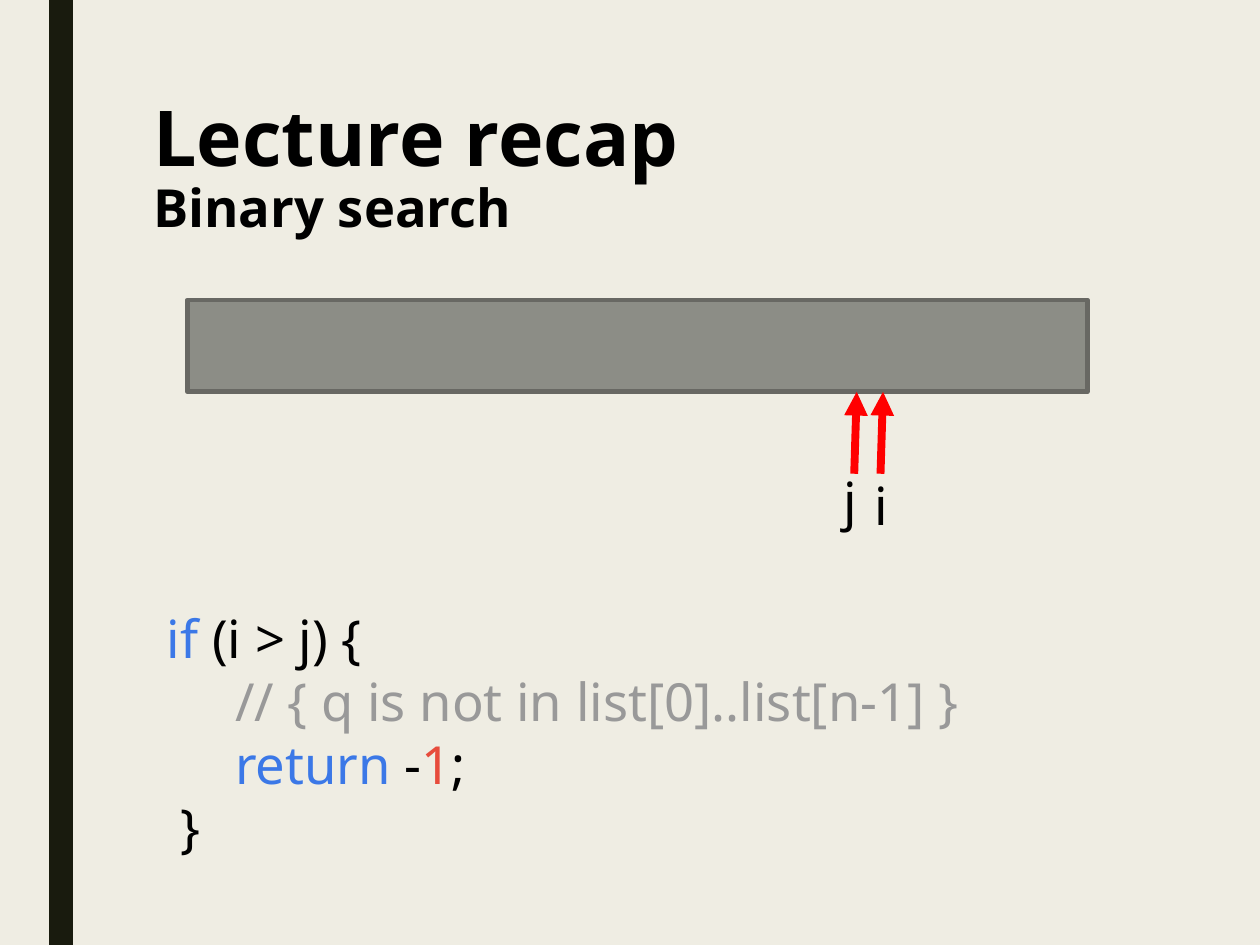
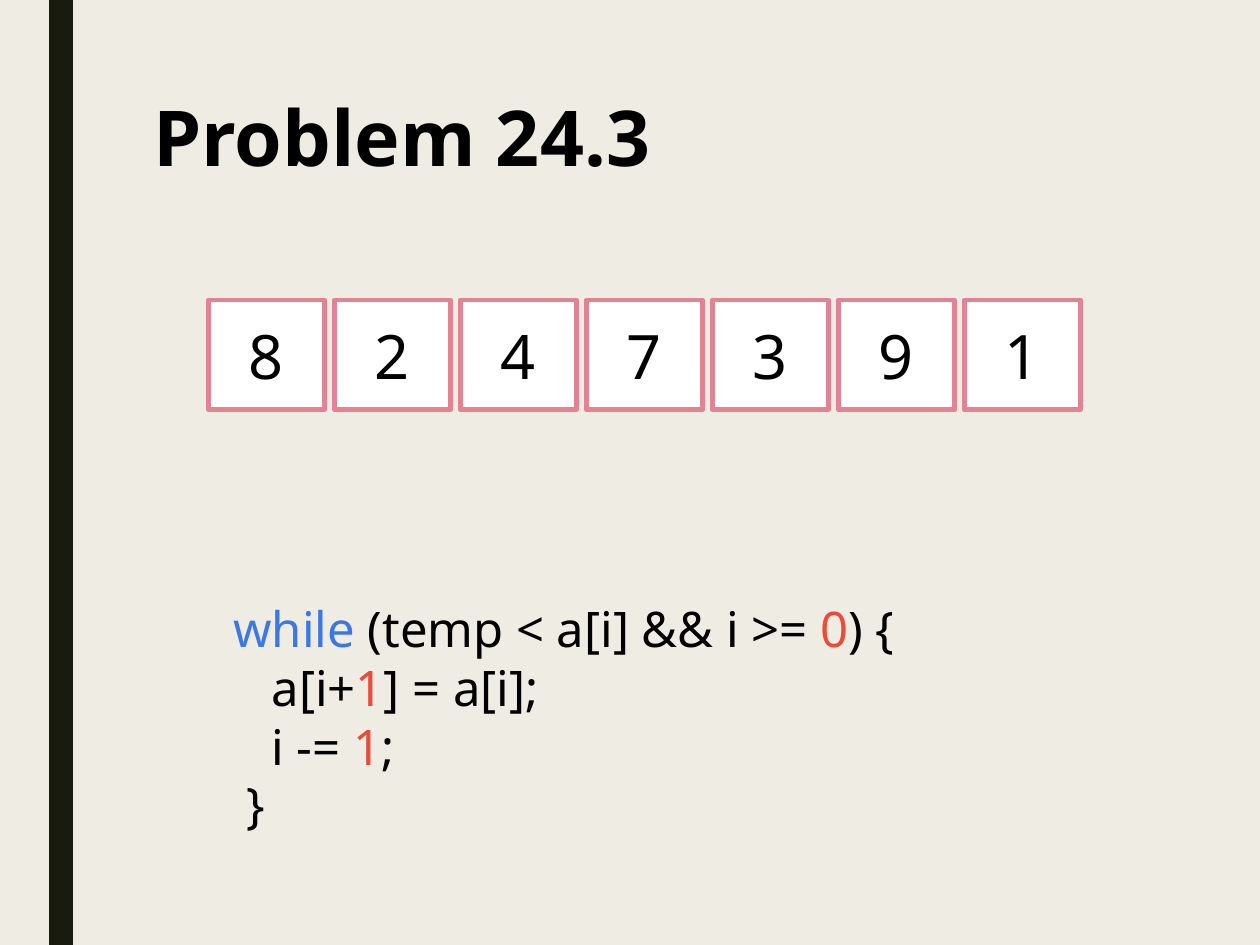
from lxml import etree
from pptx import Presentation
from pptx.dml.color import RGBColor
from pptx.enum.shapes import MSO_CONNECTOR, MSO_SHAPE
from pptx.enum.text import MSO_ANCHOR, PP_ALIGN
from pptx.oxml.ns import qn
from pptx.util import Cm, Pt

BACKGROUND = RGBColor(0xEF, 0xED, 0xE3)
BAND = RGBColor(0x19, 0x1B, 0x0E)
BLACK = RGBColor(0, 0, 0)
WHITE = RGBColor(0xFF, 0xFF, 0xFF)
KEYWORD = RGBColor(0x3B, 0x78, 0xE7)
NUMBER = RGBColor(0xE7, 0x4C, 0x3C)
COMMENT = RGBColor(0x99, 0x99, 0x99)
LIST_FILL = RGBColor(0x8C, 0x8D, 0x86)
LIST_LINE = RGBColor(0x68, 0x68, 0x63)
CELL_LINE = RGBColor(0xE2, 0x83, 0x94)
ARROW = RGBColor(0xFF, 0, 0)
FONT = "Noto Sans"
SPACE_PER_POINT = 0.26 * 2.54 / 72


def add_text(shape, lines, size=30, bold=False, align=PP_ALIGN.LEFT,
             anchor=MSO_ANCHOR.TOP, spacing=1.0):
    frame = shape.text_frame
    frame.word_wrap = True
    frame.vertical_anchor = anchor
    for number, (indent, runs) in enumerate(lines):
        paragraph = frame.add_paragraph() if number else frame.paragraphs[0]
        paragraph.alignment = align
        paragraph.line_spacing = spacing
        margin = Cm(indent * size * SPACE_PER_POINT)
        paragraph._p.get_or_add_pPr().set("marL", str(margin))
        for text, color, *own_size in runs:
            if own_size:
                paragraph.add_line_break()
            run = paragraph.add_run()
            run.text = text
            run.font.name = FONT
            run.font.size = Pt(own_size[0] if own_size else size)
            run.font.bold = bold
            run.font.color.rgb = color


def add_box(slide, left, top, width, height, fill, line=None):
    shape = slide.shapes.add_shape(
        MSO_SHAPE.RECTANGLE, Cm(left), Cm(top), Cm(width), Cm(height))
    shape.shadow.inherit = False
    shape.fill.solid()
    shape.fill.fore_color.rgb = fill
    if line is None:
        shape.line.fill.background()
    else:
        shape.line.color.rgb = line
        shape.line.width = Pt(2.75)
    return shape


presentation = Presentation()
presentation.slide_width = Cm(25.4)
presentation.slide_height = Cm(19.05)
background = presentation.slide_master.background.fill
background.solid()
background.fore_color.rgb = BACKGROUND

titles = [
    [("Lecture recap", BLACK), ("Binary search", BLACK, 30)],
    [("Problem 24.3", BLACK)],
]
slides = []
for title in titles:
    slide = presentation.slides.add_slide(presentation.slide_layouts[6])
    add_box(slide, 0.99, 0, 0.48, 19.05, BAND)
    title_box = slide.shapes.add_textbox(Cm(2.84), Cm(1.9), Cm(20), Cm(4.11))
    add_text(title_box, [(0, title)], size=44, bold=True, spacing=0.89)
    slides.append(slide)
recap, problem = slides

search_code = [
    (1, [("if", KEYWORD), (" (i > j) {", BLACK)]),
    (6, [("// { q is not in list[0]..list[n-1] }", COMMENT)]),
    (6, [("return", KEYWORD), (" -", BLACK), ("1", NUMBER), (";", BLACK)]),
    (2, [("}", BLACK)]),
]
code_box = recap.shapes.add_textbox(Cm(2.84), Cm(12.09), Cm(21.34), Cm(5.38))
add_text(code_box, search_code)

add_box(recap, 3.78, 6.05, 18.14, 1.85, LIST_FILL, LIST_LINE)
for name, arrow_left, label_left, label_top in [
        ("i", 17.75, 17.37, 9.42), ("j", 17.22, 16.76, 9.32)]:
    arrow = recap.shapes.add_connector(
        MSO_CONNECTOR.STRAIGHT,
        Cm(arrow_left), Cm(9.55), Cm(arrow_left + 0.05), Cm(7.9))
    arrow.line.color.rgb = ARROW
    arrow.line.width = Pt(4.5)
    etree.SubElement(arrow.line._get_or_add_ln(), qn("a:tailEnd"), type="triangle")
    etree.SubElement(arrow._element.spPr, qn("a:effectLst"))
    label = recap.shapes.add_textbox(
        Cm(label_left), Cm(label_top), Cm(1.65), Cm(1.55))
    add_text(label, [(0, [(name, BLACK)])])

for position, value in enumerate("8247391"):
    cell = add_box(problem, 4.2 + 2.54 * position, 6.05, 2.34, 2.21,
                   WHITE, CELL_LINE)
    add_text(cell, [(0, [(value, BLACK)])], size=35,
             align=PP_ALIGN.CENTER, anchor=MSO_ANCHOR.MIDDLE)

shift_code = [
    (1, [("while", KEYWORD), (" (temp < a[i] && i >= ", BLACK),
         ("0", NUMBER), (") {", BLACK)]),
    (4, [("a[i+", BLACK), ("1", NUMBER), ("] = a[i];", BLACK)]),
    (4, [("i -= ", BLACK), ("1", NUMBER), (";", BLACK)]),
    (2, [("}", BLACK)]),
]
code_box = problem.shapes.add_textbox(Cm(4.2), Cm(11.94), Cm(17.22), Cm(5.05))
add_text(code_box, shift_code, size=28)

presentation.save("out.pptx")
